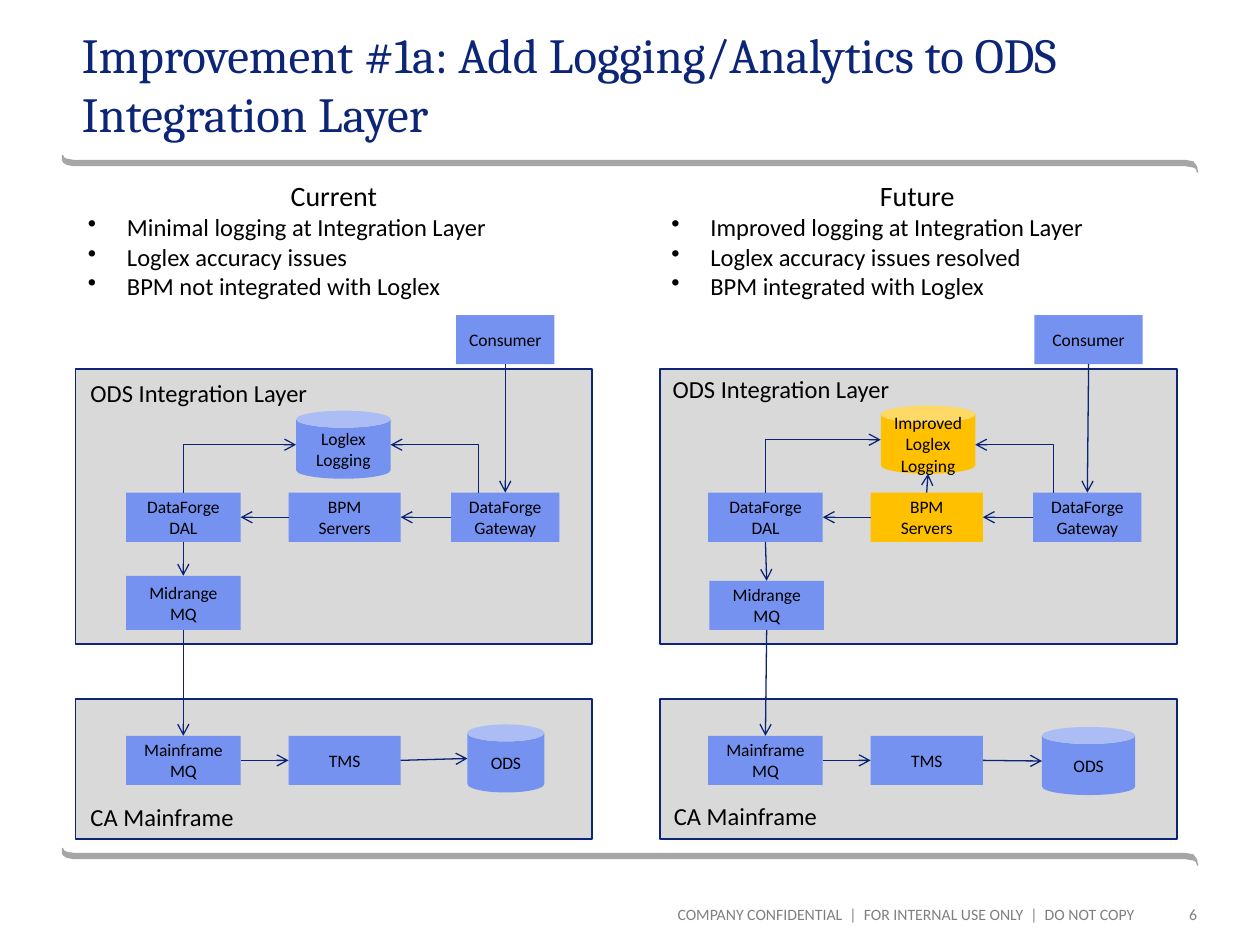
from lxml import etree
from pptx import Presentation
from pptx.dml.color import RGBColor
from pptx.enum.shapes import MSO_CONNECTOR as LINK, MSO_SHAPE as SHAPE
from pptx.enum.text import MSO_ANCHOR as ANCHOR, PP_ALIGN as ALIGN
from pptx.oxml.ns import qn
from pptx.util import Inches, Pt

NAVY = RGBColor(0x0C, 0x25, 0x77)
ARROW = RGBColor(0x09, 0x23, 0x77)
BLUE = RGBColor(0x75, 0x92, 0xF1)
AMBER = RGBColor(0xFF, 0xC0, 0x00)
PALE = RGBColor(0xD9, 0xD9, 0xD9)
RULE = RGBColor(0xA6, 0xA6, 0xA6)
GRAY = RGBColor(0x80, 0x80, 0x80)
BLACK = RGBColor(0, 0, 0)

prs = Presentation()
prs.slide_width, prs.slide_height = Inches(10), Inches(7.5)
slide = prs.slides.add_slide(prs.slide_layouts[6])
shapes = slide.shapes


def write(frame, text, size, color=BLACK, align=ALIGN.LEFT, anchor=ANCHOR.TOP, font="Calibri"):
    frame.word_wrap = True
    frame.vertical_anchor = anchor
    frame.text = text
    for paragraph in frame.paragraphs:
        paragraph.alignment = align
        paragraph.font.name = font
        paragraph.font.size = Pt(size)
        paragraph.font.color.rgb = color


def arrow(kind, x1, y1, x2, y2):
    link = shapes.add_connector(kind, x1, y1, x2, y2)
    link.line.color.rgb = ARROW
    link.line.width = Pt(0.75)
    etree.SubElement(link.line._get_or_add_ln(), qn("a:tailEnd"), type="arrow")
    properties = link._element.spPr
    etree.SubElement(properties, qn("a:effectLst"))
    if kind == LINK.ELBOW:
        guides = properties.find(qn("a:prstGeom")).get_or_add_avLst()
        etree.SubElement(guides, qn("a:gd"), name="adj1", fmla="val 0")
    return link


rule_outline = [(0.49, 0), (0.49, 0.04), (0.5, 0.06), (0.53, 0.08), (0.59, 0.09),
                (9.41, 0.09), (9.47, 0.1), (9.49, 0.11), (9.5, 0.14), (9.51, 0.14),
                (9.5, 0.09), (9.47, 0.05), (9.41, 0.04), (0.59, 0.04), (0.53, 0.03),
                (0.51, 0.02), (0.5, 0)]
for rule_top in (1.23, 6.73):
    points = [(Inches(x), Inches(rule_top + y)) for x, y in rule_outline]
    builder = shapes.build_freeform(*points[0])
    builder.add_line_segments(points[1:])
    rule = builder.convert_to_shape()
    rule.shadow.inherit = False
    rule.fill.solid()
    rule.fill.fore_color.rgb = RULE
    rule.line.fill.background()

title = shapes.add_textbox(Inches(0.5), Inches(0.08), Inches(9), Inches(1.1)).text_frame
title.margin_left = Inches(0.15)
write(title, "Improvement #1a: Add Logging/Analytics to ODS\vIntegration Layer", 28, NAVY,
      anchor=ANCHOR.BOTTOM, font="Cambria")

for left, width, text in [
    (3.42, 5.58, "COMPANY CONFIDENTIAL  |  FOR INTERNAL USE ONLY  |  DO NOT COPY"),
    (9.08, 0.42, "6"),
]:
    footer = shapes.add_textbox(Inches(left), Inches(7.18), Inches(width), Inches(0.15)).text_frame
    footer.margin_left = footer.margin_right = footer.margin_top = footer.margin_bottom = 0
    write(footer, text, 9, GRAY, ALIGN.RIGHT, ANCHOR.MIDDLE)

panels = [
    dict(left=0.6, shift=0, summary_left=0.6, accent=BLUE,
         labels=[(0.62, 2.95), (0.62, 6.32)],
         consumer=(3.62, 0.78), midrange=(1, 4.57, 0.43), ods=(3.71, 5.75, 0.61),
         log=(2.35, 3.26), log_text="Loglex\nLogging", right_bend=(3.8, 3.53),
         summary="Current\nMinimal logging at Integration Layer\n"
                 "Loglex accuracy issues\nBPM not integrated with Loglex"),
    dict(left=5.24, shift=4.62, summary_left=5.23, accent=AMBER,
         labels=[(5.24, 2.92), (5.25, 6.31)],
         consumer=(8.21, 0.86), midrange=(5.63, 4.61, 0.39), ods=(8.27, 5.77, 0.74),
         log=(6.99, 3.22), log_text="Improved\nLoglex\nLogging", right_bend=(8.36, 3.53),
         summary="Future\nImproved logging at Integration Layer\n"
                 "Loglex accuracy issues resolved\nBPM integrated with Loglex"),
]
straight_links = [
    ("consumer", 2, "gateway", 0),
    ("gateway", 1, "bpm", 3),
    ("bpm", 1, "dal", 3),
    ("dal", 2, "midrange", 0),
    ("midrange", 2, "mainframe", 0),
    ("mainframe", 3, "tms", 1),
]

for panel in panels:
    for top, height in ((5.55, 1.11), (2.93, 2.18)):
        layer = shapes.add_shape(SHAPE.RECTANGLE, Inches(panel["left"]), Inches(top),
                                 Inches(4.1), Inches(height))
        layer.shadow.inherit = False
        layer.fill.solid()
        layer.fill.fore_color.rgb = PALE
        layer.line.color.rgb = NAVY
        layer.line.width = Pt(1)

    for (left, top), width, text in zip(panel["labels"], (1.96, 1.34),
                                        ("ODS Integration Layer", "CA Mainframe")):
        label = shapes.add_textbox(Inches(left), Inches(top), Inches(width), Inches(0.34))
        write(label.text_frame, text, 14)
        label.text_frame.word_wrap = False

    shift = panel["shift"]
    consumer_left, consumer_width = panel["consumer"]
    midrange_left, midrange_top, midrange_height = panel["midrange"]
    ods_left, ods_top, ods_width = panel["ods"]
    box, can = SHAPE.RECTANGLE, SHAPE.CAN
    nodes = {}
    for key, preset, left, top, width, height, fill, text in [
        ("consumer", box, consumer_left, 2.5, consumer_width, 0.39, BLUE, "Consumer"),
        ("gateway", box, 3.58 + shift, 3.91, 0.86, 0.39, BLUE, "DataForge\nGateway"),
        ("bpm", box, 2.29 + shift, 3.91, 0.89, 0.39, panel["accent"], "BPM Servers"),
        ("dal", box, 1 + shift, 3.91, 0.91, 0.39, BLUE, "DataForge\nDAL"),
        ("midrange", box, midrange_left, midrange_top, 0.91, midrange_height, BLUE, "Midrange\nMQ"),
        ("mainframe", box, 1 + shift, 5.84, 0.91, 0.39, BLUE, "Mainframe\nMQ"),
        ("tms", box, 2.29 + shift, 5.84, 0.89, 0.39, BLUE, "TMS"),
        ("ods", can, ods_left, ods_top, ods_width, 0.54, BLUE, "ODS"),
        ("log", can, *panel["log"], 0.75, 0.54, panel["accent"], panel["log_text"]),
    ]:
        node = shapes.add_shape(preset, Inches(left), Inches(top), Inches(width), Inches(height))
        node.shadow.inherit = False
        node.fill.solid()
        node.fill.fore_color.rgb = fill
        node.line.fill.background()
        write(node.text_frame, text, 10, align=ALIGN.CENTER, anchor=ANCHOR.MIDDLE)
        nodes[key] = node

    for source, source_side, target, target_side in straight_links:
        link = arrow(LINK.STRAIGHT, 0, 0, 0, 0)
        link.begin_connect(nodes[source], source_side)
        link.end_connect(nodes[target], target_side)

    tms, ods, log, dal, bpm = (nodes[key] for key in ("tms", "ods", "log", "dal", "bpm"))
    tms_link = arrow(LINK.STRAIGHT, 0, 0, ods.left, ods.top + ods.height // 2)
    tms_link.begin_connect(tms, 3)
    if panel["accent"] == AMBER:
        bpm_link = arrow(LINK.STRAIGHT, 0, 0, log.left + log.width // 2, log.top + log.height)
        bpm_link.begin_connect(bpm, 0)

    arrow(LINK.ELBOW, dal.left + dal.width // 2, dal.top, log.left, log.top + log.height // 2)
    bend_x, bend_y = panel["right_bend"]
    arrow(LINK.ELBOW, Inches(bend_x), Inches(3.91), log.left + log.width, Inches(bend_y))

    summary = shapes.add_textbox(Inches(panel["summary_left"]), Inches(1.37),
                                 Inches(4.1), Inches(1.08)).text_frame
    write(summary, panel["summary"], 14)
    heading, *bullets = summary.paragraphs
    heading.alignment = ALIGN.CENTER
    heading.font.size = Pt(16)
    for bullet in bullets:
        properties = bullet._p.get_or_add_pPr()
        properties.set("marL", str(Inches(0.31)))
        properties.set("indent", str(-Inches(0.31)))
        mark = etree.Element(qn("a:buChar"), char="•")
        properties.insert(0, mark)

prs.save("out.pptx")
